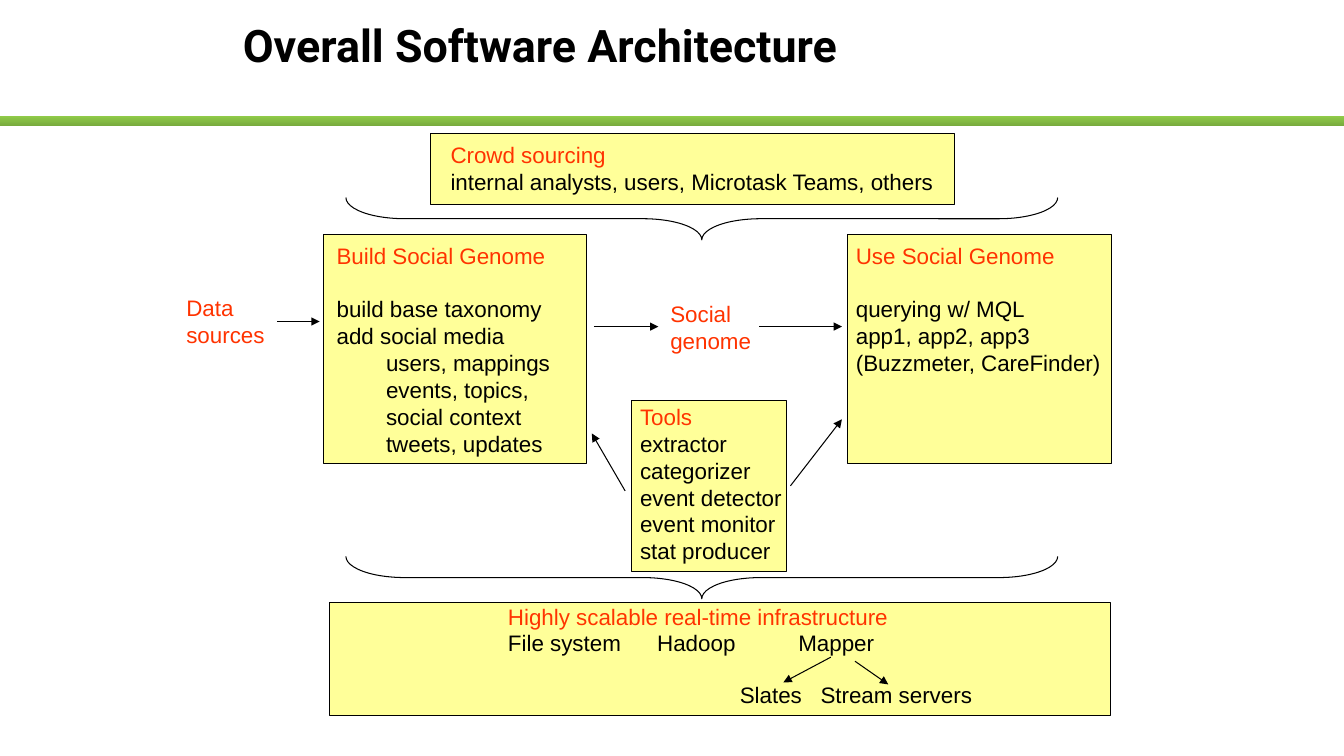
from lxml import etree
from pptx import Presentation
from pptx.dml.color import RGBColor
from pptx.enum.shapes import MSO_CONNECTOR as Connector, MSO_SHAPE as Shape
from pptx.enum.text import MSO_ANCHOR as Anchor
from pptx.oxml.ns import qn
from pptx.util import Inches, Pt

BLACK, RED, YELLOW = "000000", "FF3300", "FFFF99"


def color(value):
    """Turn a hex string into a colour."""
    return RGBColor.from_string(value)


def add_tabs(para, stops):
    """Give a paragraph left tab stops, in inches."""
    tabs = etree.SubElement(para._p.get_or_add_pPr(), qn("a:tabLst"))
    for stop in stops:
        etree.SubElement(tabs, qn("a:tab"), pos=str(Inches(stop)), algn="l")


def add_text(page, text, box, size=16, font="Arial", ink=BLACK, first_ink=None,
             bold=False, anchor=Anchor.TOP, spacing=1.0, tabs=(), gap=0,
             indent_from=None):
    """Write lines of text, with an optional heading colour, gap and indent."""
    frame = page.shapes.add_textbox(*map(Inches, box)).text_frame
    frame.word_wrap = True
    frame.vertical_anchor = anchor
    for index, line in enumerate(text.split("\n")):
        para = frame.add_paragraph() if index else frame.paragraphs[0]
        if indent_from is not None and index >= indent_from:
            para._p.get_or_add_pPr().set("marL", str(Inches(0.49)))
        para.line_spacing = spacing
        if index == 1 and gap:
            para.space_before = Pt(gap)
        if tabs:
            add_tabs(para, tabs)
        span = para.add_run()
        span.text = line
        span.font.size, span.font.name, span.font.bold = Pt(size), font, bold
        span.font.color.rgb = color(first_ink if first_ink and not index else ink)


def add_panel(page, box):
    """Draw a yellow box with a thin black outline."""
    panel = page.shapes.add_shape(Shape.RECTANGLE, *map(Inches, box))
    panel.shadow.inherit = False
    panel.fill.solid()
    panel.fill.fore_color.rgb = color(YELLOW)
    panel.line.color.rgb = color(BLACK)
    panel.line.width = Pt(0.75)


def add_arrow(page, start, end):
    """Draw a thin black arrow between two points."""
    arrow = page.shapes.add_connector(Connector.STRAIGHT, *map(Inches, start + end))
    arrow.line.color.rgb = color(BLACK)
    arrow.line.width = Pt(0.75)
    etree.SubElement(arrow.line._get_or_add_ln(), qn("a:tailEnd"), type="triangle")
    etree.SubElement(arrow._element.spPr, qn("a:effectLst"))


def add_brace(page, box):
    """Draw a brace pointing down that fills the box."""
    left, top, width, height = box
    brace = page.shapes.add_shape(
        Shape.RIGHT_BRACE, Inches(left + (width - height) / 2),
        Inches(top + (height - width) / 2), Inches(height), Inches(width))
    brace.rotation = 90
    brace.adjustments[0] = 1.39
    brace.shadow.inherit = False
    brace.fill.background()
    brace.line.color.rgb = color(BLACK)
    brace.line.width = Pt(0.75)


def add_header(page, box):
    """Place the title and the green rule below it."""
    left, top, width, height = box
    add_text(page, "Overall Software Architecture",
             (left + 2.31, top + 0.14, 9.14, 0.65), size=32, font="Roboto",
             bold=True, anchor=Anchor.MIDDLE, spacing=0.95)
    rule = page.shapes.add_shape(
        Shape.RECTANGLE, *map(Inches, (left, top + height - 0.1, width, 0.1)))
    rule.shadow.inherit = False
    rule.line.fill.background()
    rule.fill.gradient()
    rule.fill.gradient_angle = 270
    for stop, shade in zip(rule.fill.gradient_stops, ("90CB49", "78AB3E")):
        stop.color.rgb = color(shade)


def add_module(page, text, box, inset, **style):
    """Place a panel with a red heading and black lines."""
    left, top, width, height = box
    add_panel(page, box)
    across, down = inset
    add_text(page, text, (left + across, top + down, width + 0.1, height),
             first_ink=RED, **style)


def add_infrastructure(page, box):
    """Place the infrastructure panel with its systems and their parts."""
    left, top, width, height = box
    add_module(page, "Highly scalable real-time infrastructure\n"
               "File system\tHadoop\tMapper", box, (1.67, -0.05), tabs=(1.48, 2.88))
    add_text(page, "Slates\tStream servers",
             (left + 3.97, top + 0.73, 2.7, 0.37), tabs=(0.8,))
    add_arrow(page, (left + 4.97, top + 0.54), (left + 4.5, top + 0.79))
    add_arrow(page, (left + 5.21, top + 0.58), (left + 5.54, top + 0.81))


def add_flow(page, box):
    """Place the flow from data sources through the genome to its uses."""
    left, top, width, height = box
    add_module(page, "Build Social Genome\nbuild base taxonomy\nadd social media\n"
               "users, mappings\nevents, topics,\nsocial context\ntweets, updates",
               (left + 1.46, top, 2.61, 2.27), (0.03, 0.02), gap=19.2, indent_from=3)
    add_module(page, "Use Social Genome\nquerying w/ MQL\napp1, app2, app3\n"
               "(Buzzmeter, CareFinder)",
               (left + width - 2.61, top, 2.61, 2.27), (-0.02, 0.02), gap=19.2)
    add_module(page, "Tools\nextractor\ncategorizer\nevent detector\n"
               "event monitor\nstat producer",
               (left + 4.51, top + 1.64, 1.54, 1.7), (-0.01, -0.02))
    add_text(page, "Data\nsources", (left, top + 0.54, 1.1, 0.64), ink=RED)
    add_text(page, "Social\ngenome", (left + 4.8, top + 0.6, 1.1, 0.64), ink=RED)
    for start, end in (((1, 0.86), (1.42, 0.86)), ((4.14, 0.91), (4.78, 0.91)),
                       ((5.78, 0.91), (6.6, 0.91)), ((4.45, 2.54), (4.12, 1.97)),
                       ((6.09, 2.49), (6.6, 1.83))):
        add_arrow(page, (left + start[0], top + start[1]),
                  (left + end[0], top + end[1]))


def main():
    """Build the slide and save it."""
    deck = Presentation()
    deck.slide_width, deck.slide_height = Inches(13.33), Inches(7.5)
    page = deck.slides.add_slide(deck.slide_layouts[6])
    add_header(page, (0, 0, 13.33, 1.25))
    add_module(page, "Crowd sourcing\ninternal analysts, users, Microtask Teams, others",
               (4.27, 1.32, 5.2, 0.71), (0.1, 0.03))
    add_infrastructure(page, (3.27, 5.98, 7.74, 1.12))
    add_flow(page, (1.75, 2.33, 9.27, 3.34))
    for top in (1.96, 5.52):
        add_brace(page, (3.43, top, 7.06, 0.42))
    deck.save("out.pptx")


if __name__ == "__main__":
    main()
